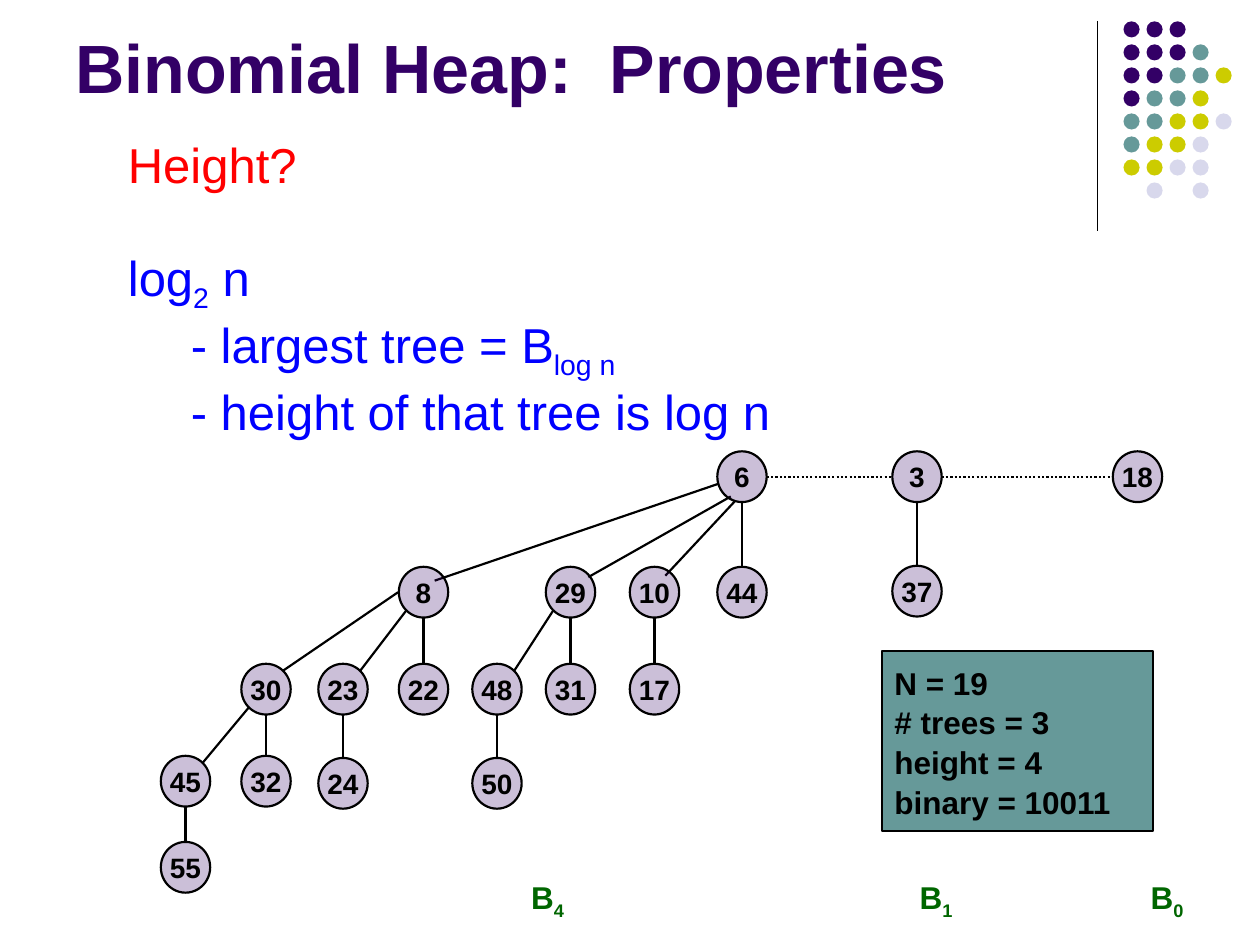
from lxml import etree
from pptx import Presentation
from pptx.dml.color import RGBColor
from pptx.enum.dml import MSO_LINE
from pptx.enum.shapes import MSO_CONNECTOR as Connector, MSO_SHAPE as Shape
from pptx.enum.text import MSO_ANCHOR as Anchor, PP_ALIGN as Align
from pptx.oxml.ns import qn
from pptx.util import Pt

COLORS = {
    "purple": "330066", "teal": "669999", "lime": "CCCC00", "mist": "D8D8EC",
    "black": "000000", "red": "FF0000", "blue": "0000FF", "green": "006600",
}
DOT_COLORS = {"P": "purple", "T": "teal", "Y": "lime", "L": "mist"}
DOT_ROWS = ["PPP", "PPPT", "PPTTY", "PTTY", "TTYYL", "TYYL", "YYLL", ".L.L"]

TITLE = {"name": "Arial", "size": Pt(39), "bold": True}
BODY = {"name": "Arial", "size": Pt(28), "bold": False}
NOTE = {"name": "Arial", "size": Pt(18), "bold": True}
KEY = {"name": "Arial", "size": Pt(16), "bold": True}

NODE_W, NODE_H = 28.2, 29
NODES = {  # key: centre
    6: (424, 272.4), 3: (524, 272.4), 18: (650, 272.4),
    8: (242, 338.4), 29: (326, 338.4), 10: (374, 338.4),
    44: (424, 338.4), 37: (524, 337.8),
    30: (152, 393.8), 23: (196, 393.8), 22: (242, 393.8),
    48: (284, 393.8), 31: (326, 393.8), 17: (374, 393.8),
    45: (106, 446.4), 32: (152, 446.4), 24: (196, 447.6), 50: (284, 447.6),
    55: (106, 495.6),
}
UPRIGHT = ((0, -NODE_H / 2), (0, NODE_H / 2))
SLANTED = ((10, -10.7), (-10, 10.7))
EDGES = [  # child, parent, offsets of the two ends from the node centres
    *((child, parent, UPRIGHT) for child, parent in [
        (44, 6), (37, 3), (22, 8), (31, 29), (17, 10),
        (32, 30), (24, 23), (50, 48), (55, 45)]),
    *((child, parent, SLANTED) for child, parent in [(23, 8), (48, 29), (45, 30)]),
    (30, 8, ((10, -10.7), (-14.5, 0))),
    (8, 6, ((6.4, -6.6), (-13.6, 4.1))),
    (29, 6, ((10.2, -8.6), (-6.4, 11.3))),
    (10, 6, ((6.2, -9.4), (-4.2, 14.2))),
]


def rgb(color):
    return RGBColor.from_string(COLORS[color])


def set_format(target, values):
    for name, value in values.items():
        setattr(target, name, value)


def add_span(para, text, style, color, subscript=False):
    span = para.add_run()
    span.text = text
    set_format(span.font, style)
    span.font.color.rgb = rgb(color)
    if subscript:
        span._r.get_or_add_rPr().set("baseline", "-25000")


def add_text(page, frame, lines, style, color, align=Align.LEFT, anchor=Anchor.TOP):
    """Each line is a list of (text, is subscript) pairs."""
    box = page.shapes.add_textbox(*map(Pt, frame)).text_frame
    set_format(box, {"word_wrap": True, "vertical_anchor": anchor})
    for index, line in enumerate(lines):
        para = box.add_paragraph() if index else box.paragraphs[0]
        para.alignment = align
        for text, subscript in line:
            add_span(para, text, style, color, subscript)


def add_figure(page, kind, frame, fill, line=None):
    figure = page.shapes.add_shape(kind, *map(Pt, frame))
    figure.shadow.inherit = False
    figure.fill.solid()
    figure.fill.fore_color.rgb = rgb(fill)
    if line:
        figure.line.color.rgb = rgb(line)
        figure.line.width = Pt(1.25)
    else:
        figure.line.fill.background()
    return figure


def add_line(page, start, end, width=1.25, dash=None):
    line = page.shapes.add_connector(Connector.STRAIGHT, *map(Pt, (*start, *end)))
    line.line.color.rgb = rgb("black")
    set_format(line.line, {"width": Pt(width), "dash_style": dash})
    etree.SubElement(line._element.spPr, qn("a:effectLst"))


def add_node(page, key):
    x, y = NODES[key]
    frame = (x - NODE_W / 2, y - NODE_H / 2, NODE_W, NODE_H)
    node = add_figure(page, Shape.OVAL, frame, "purple", "black")
    tint = node._element.spPr.find(qn("a:solidFill"))[0]
    etree.SubElement(tint, qn("a:alpha"), val="25000")
    set_format(node.text_frame, {"word_wrap": False, "vertical_anchor": Anchor.MIDDLE})
    para = node.text_frame.paragraphs[0]
    para.alignment = Align.CENTER
    add_span(para, str(key), KEY, "black")


def add_edge(page, child, parent, offsets):
    ends = [[c + d for c, d in zip(NODES[key], offset)]
            for key, offset in zip((child, parent), offsets)]
    add_line(page, *ends)


def add_root_link(page, left, right):
    (x1, y), (x2, _) = NODES[left], NODES[right]
    add_line(page, (x1 + NODE_W / 2, y), (x2 - NODE_W / 2, y), dash=MSO_LINE.ROUND_DOT)


def add_dot_pattern(page):
    pitch, size = 13.15, 9.2
    for row, letters in enumerate(DOT_ROWS):
        for column, letter in enumerate(letters):
            if letter in DOT_COLORS:
                frame = (642 + column * pitch, 12.2 + row * pitch, size, size)
                add_figure(page, Shape.OVAL, frame, DOT_COLORS[letter])


def add_summary(page, lines):
    panel = add_figure(page, Shape.RECTANGLE, (504, 372, 155, 103), "teal", "black")
    set_format(panel.text_frame, {"word_wrap": False, "vertical_anchor": Anchor.MIDDLE})
    para = panel.text_frame.paragraphs[0]
    set_format(para, {"alignment": Align.LEFT, "line_spacing": 1.05})
    for index, line in enumerate(lines):
        if index:
            para.add_line_break()
        add_span(para, line, NOTE, "black")


def main():
    deck = Presentation()
    set_format(deck, {"slide_width": Pt(720), "slide_height": Pt(540)})
    page = deck.slides.add_slide(deck.slide_layouts[6])

    add_line(page, (627, 12), (627, 132), width=0.75)
    add_dot_pattern(page)
    add_text(page, (36, 9.4, 594, 55.4), [[("Binomial Heap:  Properties", False)]],
             TITLE, "purple", anchor=Anchor.BOTTOM)
    add_text(page, (66, 73.5, 450, 41), [[("Height?", False)]], BODY, "red")
    add_text(page, (66, 138, 528, 109), [
        [("log", False), ("2", True), (" n", False)],
        [("\t- largest tree = B", False), ("log n", True)],
        [("\t", True), ("- height of that tree is log n", False)],
    ], BODY, "blue")

    for edge in EDGES:
        add_edge(page, *edge)
    add_root_link(page, 6, 3)
    add_root_link(page, 3, 18)
    for key in NODES:
        add_node(page, key)

    for order, left in (("4", 288), ("1", 510), ("0", 642)):
        add_text(page, (left, 498, 49.7, 29), [[("B", False), (order, True)]],
                 NOTE, "green", align=Align.CENTER)
    add_summary(page, ["N = 19", "# trees = 3", "height = 4", "binary = 10011"])
    deck.save("out.pptx")


if __name__ == "__main__":
    main()
